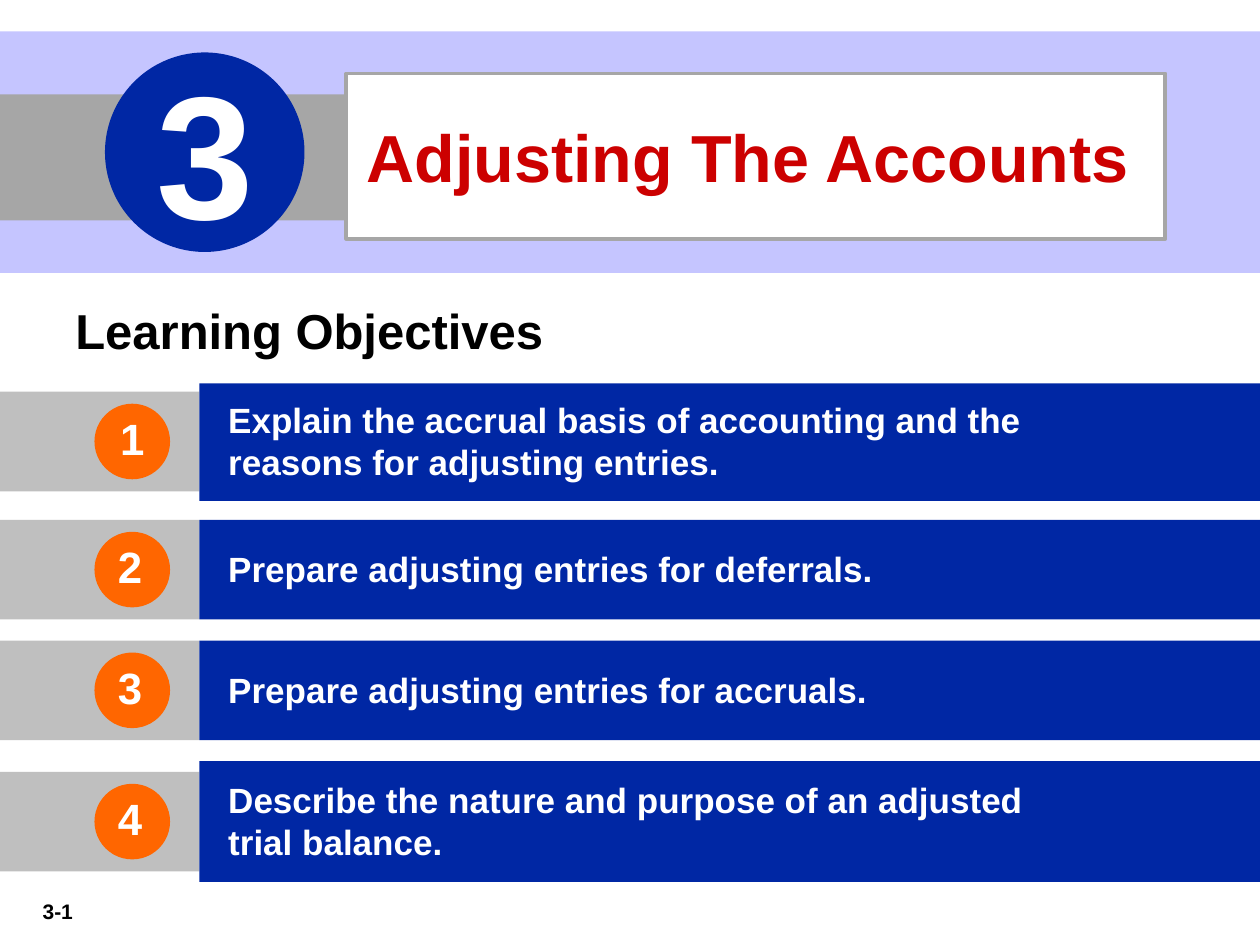
from pptx import Presentation
from pptx.dml.color import RGBColor
from pptx.enum.shapes import MSO_SHAPE as Shape
from pptx.enum.text import MSO_ANCHOR as Anchor, PP_ALIGN as Align
from pptx.util import Inches, Pt

BLUE, WHITE, BLACK = "0027A4", "FFFFFF", "000000"
ORANGE, RED, LILAC = "FF6600", "CC0000", "C5C5FF"
GRAY, LIGHT_GRAY = "A6A6A6", "BFBFBF"

deck = Presentation()
deck.slide_width, deck.slide_height = Inches(10), Inches(7.5)
slide = deck.slides.add_slide(deck.slide_layouts[6])

# Grid of 120 columns by 90 rows
COL, ROW = deck.slide_width / 120, deck.slide_height / 90


def place(kind, left, top, width, height, fill=None):
    """Add a filled shape, or a text box when kind is None, on the grid."""
    box = int(left * COL), int(top * ROW), int(width * COL), int(height * ROW)
    if kind is None:
        return slide.shapes.add_textbox(*box)
    block = slide.shapes.add_shape(kind, *box)
    block.shadow.inherit = False
    block.fill.solid()
    block.fill.fore_color.rgb = RGBColor.from_string(fill)
    block.line.fill.background()
    return block


def write(block, lines, size, color, align=Align.LEFT, anchor=Anchor.MIDDLE,
          inset_top=0.05, indent=0):
    """Set bold Arial lines, one paragraph each."""
    frame = block.text_frame
    layout = {"word_wrap": True, "vertical_anchor": anchor, "margin_top": Inches(inset_top)}
    for key, value in layout.items():
        setattr(frame, key, value)
    style = {"name": "Arial", "size": Pt(size), "bold": True}
    for number, line in enumerate(lines):
        paragraph = frame.add_paragraph() if number else frame.paragraphs[0]
        paragraph.alignment = align
        if indent:
            paragraph._p.get_or_add_pPr().set("marL", str(Inches(indent)))
        run = paragraph.add_run()
        run.text = line
        for key, value in style.items():
            setattr(run.font, key, value)
        run.font.color.rgb = RGBColor.from_string(color)


# Chapter banner
place(Shape.RECTANGLE, 0, 3, 120, 23, LILAC)
place(Shape.RECTANGLE, 0, 9, 33, 12, GRAY)
title = place(Shape.RECTANGLE, 33, 7, 78, 15.75, WHITE)
title.line.color.rgb = RGBColor.from_string(GRAY)
title.line.width = Pt(2.25)
write(title, ["Adjusting The Accounts"], 38, RED, indent=0.06)
chapter = place(Shape.OVAL, 10, 5, 19, 19, BLUE)
write(chapter, ["3"], 100, WHITE, Align.CENTER, inset_top=0)

# Heading
heading = place(None, 6, 28, 58, 6.8)
write(heading, ["Learning Objectives"], 28, BLACK, anchor=Anchor.TOP)

# Objectives: tab top, bar top, bar height, digit alignment, lines
TAB_WIDTH, TAB_HEIGHT, BADGE = 19, 9.5, 7.2
objectives = [
    (37.3, 36.5, 11.2, Align.CENTER,
     ["Explain the accrual basis of accounting and the", "reasons for adjusting entries."]),
    (49.5, 49.5, 9.5, Align.LEFT, ["Prepare adjusting entries for deferrals."]),
    (61, 61, 9.5, Align.LEFT, ["Prepare adjusting entries for accruals."]),
    (73.5, 72.5, 11.5, Align.LEFT,
     ["Describe the nature and purpose of an adjusted", "trial balance."]),
]
for number, (tab_top, bar_top, bar_height, align, lines) in enumerate(objectives, 1):
    place(Shape.RECTANGLE, 0, tab_top, TAB_WIDTH, TAB_HEIGHT, LIGHT_GRAY)
    bar = place(Shape.RECTANGLE, TAB_WIDTH, bar_top, 120 - TAB_WIDTH, bar_height, BLUE)
    write(bar, lines, 20, WHITE, inset_top=0.03, indent=0.13)
    badge_top = tab_top + (TAB_HEIGHT - BADGE) / 2
    badge = place(Shape.OVAL, 9, badge_top, BADGE, BADGE, ORANGE)
    write(badge, [str(number)], 25, WHITE, align, inset_top=0)

# Page number
page = place(None, 1, 85, 9, 3.6)
write(page, ["3-1"], 12, BLACK, Align.CENTER, Anchor.TOP)

deck.save("out.pptx")
